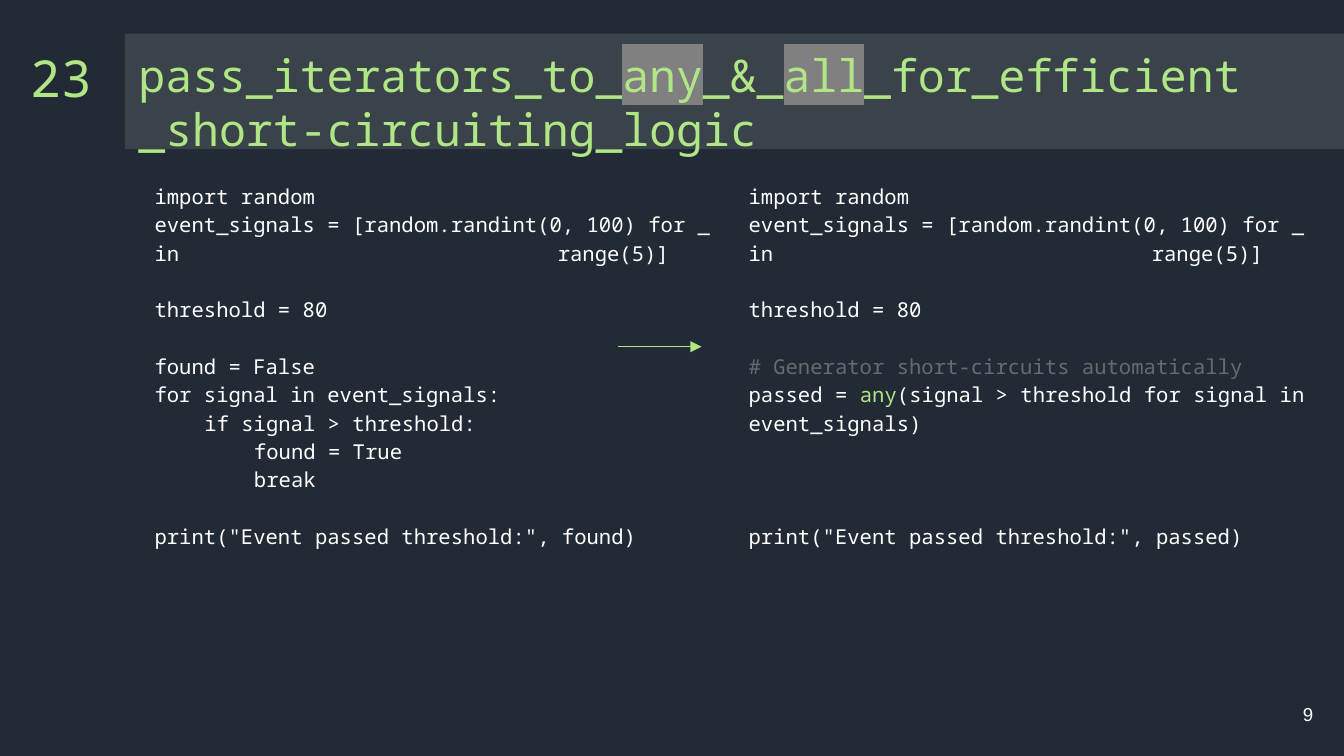
from pptx import Presentation
from pptx.dml.color import RGBColor
from pptx.enum.shapes import MSO_CONNECTOR
from pptx.enum.text import MSO_ANCHOR, MSO_AUTO_SIZE, PP_ALIGN
from pptx.oxml.ns import qn
from pptx.util import Inches, Pt
from lxml.etree import SubElement

BACKGROUND = RGBColor(0x22, 0x2B, 0x35)
BAND = RGBColor(0x3A, 0x42, 0x4A)
GREEN = RGBColor(0xB0, 0xE6, 0x86)
WHITE = RGBColor(0xFF, 0xFF, 0xFF)
COMMENT = RGBColor(0x67, 0x6B, 0x6E)
HIGHLIGHT = RGBColor(0x80, 0x80, 0x80)

MONO = "Noto Sans Mono"
CODE_LINE = 15.2  # points from one code line to the next
INDENT_STEP = 0.37  # width of four code characters

# Each code line: indent level, blank lines before it, (text, colour) runs.
SETUP = [
    (0, 0, [("import random", WHITE)]),
    (0, 0, [("event_signals = [random.randint(0, 100) for _ in \t\t\trange(5)]", WHITE)]),
    (0, 1, [("threshold = 80", WHITE)]),
]
LOOP_CODE = SETUP + [
    (0, 1, [("found = False", WHITE)]),
    (0, 0, [("for signal in event_signals:", WHITE)]),
    (1, 0, [("if signal > threshold:", WHITE)]),
    (2, 0, [("found = True", WHITE)]),
    (2, 0, [("break", WHITE)]),
    (0, 1, [('print("Event passed threshold:", found)', WHITE)]),
]
GENERATOR_CODE = SETUP + [
    (0, 1, [("# Generator short-circuits automatically", COMMENT)]),
    (0, 0, [("passed = ", WHITE), ("any", GREEN),
            ("(signal > threshold for signal in event_signals)", WHITE)]),
    (0, 3, [('print("Event passed threshold:", passed)', WHITE)]),
]


class SlideBuilder:
    def __init__(self, slide):
        self.slide = slide
        self.frame_format = {
            "word_wrap": True, "auto_size": MSO_AUTO_SIZE.NONE,
            "vertical_anchor": MSO_ANCHOR.TOP,
            "margin_left": Inches(0.1), "margin_right": Inches(0.1),
            "margin_top": Inches(0.1), "margin_bottom": Inches(0.1),
        }

    def apply(self, target, values):
        for name, value in values.items():
            setattr(target, name, value)

    def place(self, shape, box, **frame_changes):
        """Set position and frame format, and return the text frame."""
        names = ("left", "top", "width", "height")
        self.apply(shape, dict(zip(names, map(Inches, box))))
        self.apply(shape.text_frame, self.frame_format | frame_changes)
        return shape.text_frame

    def run(self, paragraph, text, size, color, font=MONO, highlight=None):
        run = paragraph.add_run()
        run.text = text
        run.font.color.rgb = color
        if highlight is not None:
            properties = run.font._element
            mark = SubElement(properties, qn("a:highlight"))
            SubElement(mark, qn("a:srgbClr"), val=str(highlight))
        self.apply(run.font, {"size": Pt(size), "name": font})

    def title(self, box, lines):
        shape = self.slide.shapes.title
        shape.fill.solid()
        shape.fill.fore_color.rgb = BAND
        paragraph = self.place(shape, box).paragraphs[0]
        self.apply(paragraph, {"alignment": PP_ALIGN.LEFT, "line_spacing": Pt(28.9)})
        for index, line in enumerate(lines):
            if index:
                paragraph.add_line_break()
            for text, highlight in line:
                self.run(paragraph, text, 24, GREEN, highlight=highlight)

    def code(self, placeholder_index, box, code_lines):
        frame = self.place(self.slide.placeholders[placeholder_index], box)
        for index, (level, blank_lines, runs) in enumerate(code_lines):
            paragraph = frame.add_paragraph() if index else frame.paragraphs[0]
            self.apply(paragraph, {
                "alignment": PP_ALIGN.LEFT,
                "line_spacing": Pt(CODE_LINE),
                "space_before": Pt(CODE_LINE * blank_lines),
                "space_after": Pt(0),
            })
            properties = paragraph._p.get_or_add_pPr()
            properties.set("marL", str(Inches(0.12 + INDENT_STEP * level)))
            properties.set("indent", "0")
            properties.set("defTabSz", str(Inches(1)))
            SubElement(properties, qn("a:buNone"))
            for text, color in runs:
                self.run(paragraph, text, 11, color)

    def label(self, box, text, size, color, font=MONO,
              alignment=PP_ALIGN.LEFT, anchor=MSO_ANCHOR.TOP):
        shape = self.slide.shapes.add_textbox(*map(Inches, box))
        paragraph = self.place(shape, box, vertical_anchor=anchor).paragraphs[0]
        paragraph.alignment = alignment
        self.run(paragraph, text, size, color, font)

    def arrow(self, start, end):
        connector = self.slide.shapes.add_connector(
            MSO_CONNECTOR.STRAIGHT, *map(Inches, start + end))
        connector.line.color.rgb = GREEN
        connector.line.width = Pt(0.75)
        SubElement(connector.line._get_or_add_ln(), qn("a:tailEnd"), type="triangle")
        SubElement(connector._element.spPr, qn("a:effectLst"))


def main():
    presentation = Presentation()
    presentation.slide_width = Inches(10)
    presentation.slide_height = Inches(10) * 9 // 16
    two_content = presentation.slide_layouts[3]
    slide = presentation.slides.add_slide(two_content)
    slide.background.fill.solid()
    slide.background.fill.fore_color.rgb = BACKGROUND

    builder = SlideBuilder(slide)
    builder.title((0.93, 0.25, 9.07, 0.86), [
        [("pass_iterators_to_", None), ("any", HIGHLIGHT), ("_&_", None),
         ("all", HIGHLIGHT), ("_for_efficient", None)],
        [("_short-circuiting_logic", None)],
    ])
    builder.label((0.13, 0.25, 0.72, 0.86), "23", 27.3, GREEN)
    builder.code(1, (0.93, 1.24, 4.56, 3.74), LOOP_CODE)
    builder.code(2, (5.35, 1.24, 4.65, 3.74), GENERATOR_CODE)
    builder.arrow((4.6, 2.58), (5.22, 2.58))
    builder.label((9.27, 5.1, 0.6, 0.43), "9", 10, WHITE, "Arial",
                  PP_ALIGN.RIGHT, MSO_ANCHOR.MIDDLE)
    presentation.save("out.pptx")


if __name__ == "__main__":
    main()
